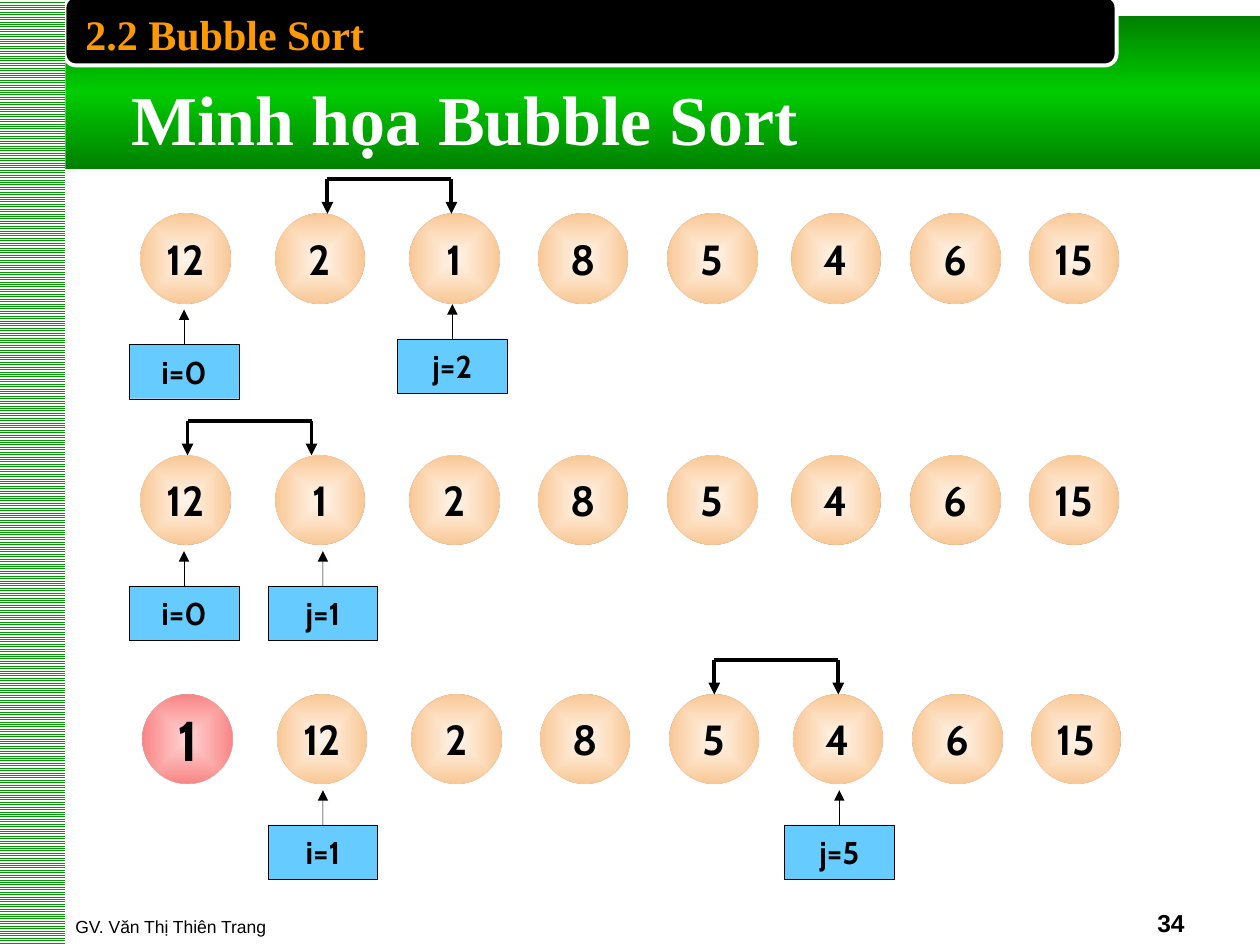
"""Build the slide that illustrates three steps of Bubble Sort."""
from pptx import Presentation
from pptx.dml.color import RGBColor
from pptx.enum.dml import MSO_PATTERN
from pptx.enum.shapes import MSO_CONNECTOR, MSO_SHAPE as Shape
from pptx.enum.text import MSO_ANCHOR as Anchor, MSO_AUTO_SIZE, PP_ALIGN as Align
from pptx.oxml import parse_xml
from pptx.oxml.ns import nsdecls
from pptx.util import Cm, Pt

HEADING = "2.2 Bubble Sort"
TITLE = "Minh họa Bubble Sort"
AUTHOR = "GV. Văn Thị Thiên Trang"
PAGE = "34"
STEPS = [
    {"top": 4.31, "shift": 0, "values": [12, 2, 1, 8, 5, 4, 6, 15], "sorted": 0,
     "swap": 6.6, "pointers": [("i=0", 3.71, 2.63), ("j=2", 9.12, 2.52)]},
    {"top": 9.18, "shift": 0, "values": [12, 1, 2, 8, 5, 4, 6, 15], "sorted": 0,
     "swap": 3.78, "pointers": [("i=0", 3.71, 2.63), ("j=1", 6.51, 2.63)]},
    {"top": 14, "shift": 0.04, "values": [1, 12, 2, 8, 5, 4, 6, 15], "sorted": 1,
     "swap": 14.4, "pointers": [("i=1", 6.51, 2.63), ("j=5", 16.92, 2.63)]},
]
COLUMNS = [2.84, 5.55, 8.26, 10.85, 13.46, 15.95, 18.36, 20.75]
BALL = 1.8
LABEL_W, LABEL_H = 2.21, 1.1
POINTER_H = 0.7
SWAP_W, SWAP_H = 2.5, 0.7
PLAIN_BALL = [(0, "FFCC99", 17), (100, "FAC896", 100)]
SORTED_BALL = [(0, "FF8989", 35), (100, "FA8686", 100)]
BAND = [(0, "008000", 100), (50, "00CC00", 100), (100, "008000", 100)]
LINEAR = '<a:lin ang="5400000" scaled="1"/>'
RADIAL = ('<a:path path="shape"><a:fillToRect l="50000" t="50000" r="50000" '
          'b="50000"/></a:path>')


def color(value):
    return RGBColor.from_string(value)


def set_gradient(shape, stops, direction):
    shape.fill.background()
    marks = "".join(
        f'<a:gs pos="{at * 1000}"><a:srgbClr val="{tone}">'
        f'<a:alpha val="{alpha * 1000}"/></a:srgbClr></a:gs>'
        for at, tone, alpha in stops)
    properties = shape._element.spPr
    properties.replace(
        properties.find("{*}noFill"),
        parse_xml(f'<a:gradFill {nsdecls("a")} rotWithShape="1">'
                  f'<a:gsLst>{marks}</a:gsLst>{direction}</a:gradFill>'))


def write(shape, text, size, font="Cabin", tone="000000", bold=True,
          align=Align.CENTER, anchor=Anchor.MIDDLE, wrap=False):
    frame = shape.text_frame
    frame.text = text
    frame.word_wrap = wrap
    frame.vertical_anchor = anchor
    paragraph = frame.paragraphs[0]
    paragraph.alignment = align
    face = paragraph.runs[0].font
    face.name, face.size, face.bold = font, Pt(size), bold
    face.color.rgb = color(tone)


def add_shape(kind, left, top, width, height, fill=None, line=None, weight=0.25):
    shape = slide.shapes.add_shape(kind, Cm(left), Cm(top), Cm(width), Cm(height))
    shape.shadow.inherit = False
    if fill:
        shape.fill.solid()
        shape.fill.fore_color.rgb = color(fill)
    if line:
        shape.line.color.rgb = color(line)
        shape.line.width = Pt(weight)
    else:
        shape.line.fill.background()
    return shape


def add_line(x1, y1, x2, y2, weight, arrow=True):
    line = slide.shapes.add_connector(
        MSO_CONNECTOR.STRAIGHT, Cm(x1), Cm(y1), Cm(x2), Cm(y2))
    line.line.color.rgb = color("000000")
    line.line.width = Pt(weight)
    if arrow:
        line.line._get_or_add_ln().append(
            parse_xml(f'<a:tailEnd {nsdecls("a")} type="triangle"/>'))
    line._element.spPr.append(parse_xml(f'<a:effectLst {nsdecls("a")}/>'))
    return line


def add_text(left, top, width, height, text, size, **style):
    box = slide.shapes.add_textbox(Cm(left), Cm(top), Cm(width), Cm(height))
    write(box, text, size, wrap=True, **style)


def add_ball(left, top, value, is_sorted):
    ball = add_shape(Shape.OVAL, left, top, BALL, BALL,
                     line=None if is_sorted else "FFC489")
    set_gradient(ball, SORTED_BALL if is_sorted else PLAIN_BALL, RADIAL)
    write(ball, str(value), 32 if is_sorted else 24)


def add_pointer(center, top, text):
    label = add_shape(Shape.RECTANGLE, center - LABEL_W / 2, top,
                      LABEL_W, LABEL_H, "66CCFF", "000000")
    write(label, text, 18)
    arrow = add_line(center, top, center, top - POINTER_H, 0.25)
    arrow.begin_connect(label, 0)


def add_swap(left, bottom):
    top, right = bottom - SWAP_H, left + SWAP_W
    add_line(left, top, right, top, 2.25, arrow=False)
    for x in (left, right):
        add_line(x, top, x, bottom, 2.25)


def add_step(step):
    top = step["top"]
    for index, (left, value) in enumerate(zip(COLUMNS, step["values"])):
        add_ball(left + step["shift"], top, value, index < step["sorted"])
    for text, center, drop in step["pointers"]:
        add_pointer(center, top + drop, text)
    add_swap(step["swap"], top)


def add_frame():
    band = add_shape(Shape.RECTANGLE, 0, 0.33, 25.43, 3.07)
    set_gradient(band, BAND, LINEAR)
    add_shape(Shape.ROUNDED_RECTANGLE, 1.3, -0.08, 21.21, 1.4,
              "000000", "FFFFFF", 2.25)
    stripes = add_shape(Shape.RECTANGLE, -0.03, 0, 1.35, 19.05)
    stripes.fill.patterned()
    stripes.fill.pattern = MSO_PATTERN.LIGHT_HORIZONTAL
    stripes.fill.fore_color.rgb = color("009900")
    stripes.fill.back_color.rgb = color("FFFFFF")


def place_title():
    title = slide.shapes.title
    title.left, title.top, title.width, title.height = map(
        Cm, (2.39, 1.4, 13.97, 1.96))
    write(title, TITLE, 40, "Times New Roman", "FFFFFF",
          align=Align.LEFT, anchor=Anchor.TOP)
    title.text_frame.auto_size = MSO_AUTO_SIZE.SHAPE_TO_FIT_TEXT
    slide.shapes._spTree.append(title._element)


presentation = Presentation()
presentation.slide_width, presentation.slide_height = Cm(25.4), Cm(19.05)
slide = presentation.slides.add_slide(presentation.slide_layouts[5])
add_frame()
place_title()
add_text(1.27, 17.75, 15.44, 1.27, AUTHOR, 10, font="Arial", bold=False,
         align=Align.LEFT, anchor=Anchor.BOTTOM)
add_text(18.21, 17.75, 5.92, 1.27, PAGE, 14, font="Arial",
         align=Align.RIGHT, anchor=Anchor.BOTTOM)
for step in STEPS:
    add_step(step)
add_text(1.47, 0.05, 19.48, 1.27, HEADING, 24, font="Times New Roman",
         tone="FF9900", align=Align.LEFT, anchor=Anchor.TOP)
presentation.save("out.pptx")
